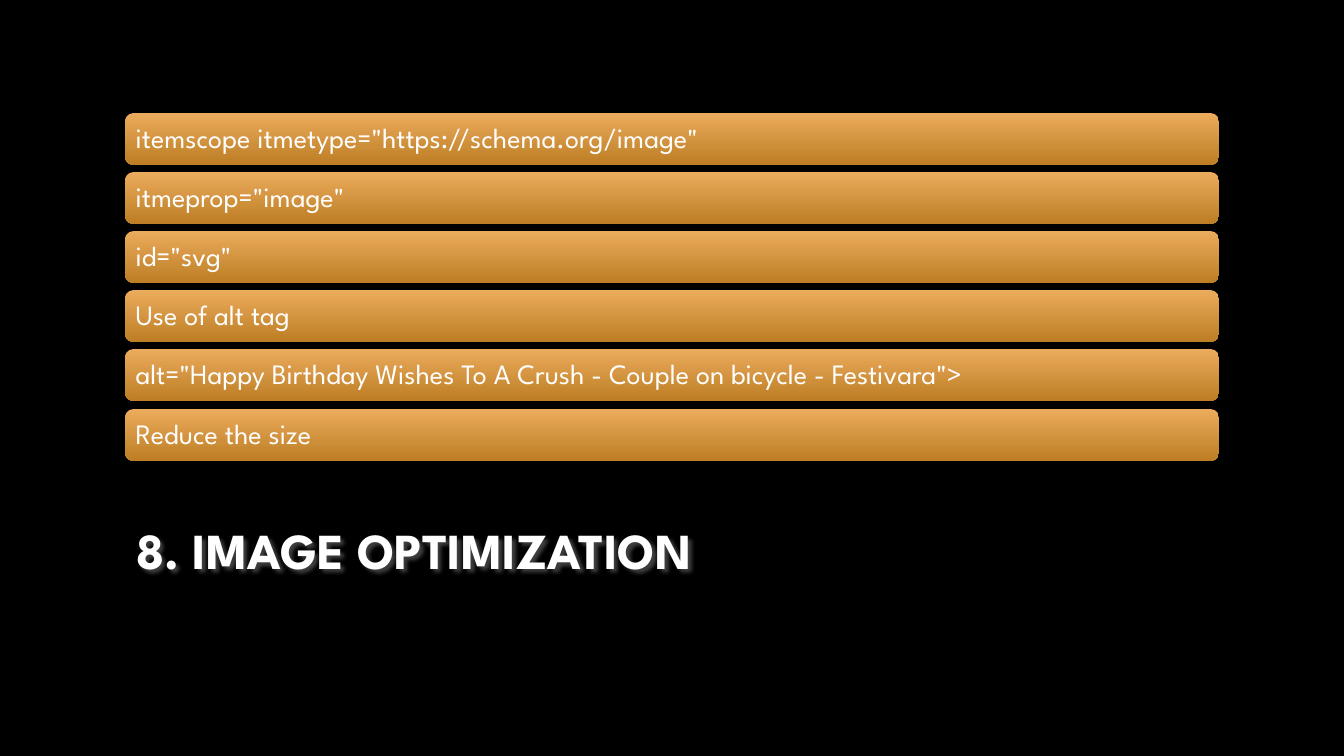
"""Build the image optimization slide: six gradient bars above a title."""
from pptx import Presentation
from pptx.dml.color import RGBColor
from pptx.enum.shapes import MSO_SHAPE
from pptx.enum.text import MSO_ANCHOR, MSO_AUTO_SIZE, PP_ALIGN
from pptx.oxml import parse_xml
from pptx.oxml.ns import nsdecls
from pptx.util import Emu, Pt

FONT = "League Spartan"
TIPS = [
    'itemscope itmetype="https://schema.org/image"',
    'itmeprop="image"',
    'id="svg"',
    "Use of alt tag",
    'alt="Happy Birthday Wishes To A Crush - Couple on bicycle - Festivara">',
    "Reduce the size",
]


def px(n):
    return Emu(round(n * 914400 / 100.8))


def rgb(value):
    return RGBColor.from_string(value)


prs = Presentation()
prs.slide_width, prs.slide_height = px(1344), px(756)
s = prs.slides.add_slide(prs.slide_layouts[5])
s.background.fill.solid()
s.background.fill.fore_color.rgb = rgb("000000")

title = s.shapes.title
title.left, title.top, title.width, title.height = px(126), px(514), px(1094), px(117)
title.fill.background()
shadow = parse_xml(
    f'<a:effectLst {nsdecls("a")}><a:outerShdw blurRad="25400" dist="25400" dir="2700000">'
    '<a:srgbClr val="808080"><a:alpha val="50000"/></a:srgbClr></a:outerShdw></a:effectLst>'
)
title._element.spPr.append(shadow)
tf = title.text_frame
tf.word_wrap = True
tf.auto_size = MSO_AUTO_SIZE.NONE
tf.vertical_anchor = MSO_ANCHOR.TOP
p = tf.paragraphs[0]
p.alignment = PP_ALIGN.LEFT
p.space_after = Pt(6)
r = p.add_run()
r.text = "8. IMAGE OPTIMIZATION"
r.font.name = FONT
r.font.size = Pt(36)
r.font.bold = True
r.font.fill.gradient()
r.font.fill.gradient_angle = 267
for stop, color in zip(r.font.fill.gradient_stops, ("FFFFFF", "A6A6A6")):
    stop.color.rgb = rgb(color)

for i, tip in enumerate(TIPS):
    bar = s.shapes.add_shape(
        MSO_SHAPE.ROUNDED_RECTANGLE, px(125), px(113 + i * 296 // 5), px(1094), px(52)
    )
    bar.shadow.inherit = False
    bar.line.fill.background()
    bar.fill.gradient()
    bar.fill.gradient_angle = 270
    for stop, color in zip(bar.fill.gradient_stops, ("EBAB5C", "BD7E25")):
        stop.color.rgb = rgb(color)
    tf = bar.text_frame
    tf.word_wrap = True
    tf.vertical_anchor = MSO_ANCHOR.MIDDLE
    tf.margin_left = tf.margin_right = px(8)
    tf.margin_top = tf.margin_bottom = px(8)
    p = tf.paragraphs[0]
    p.text = tip
    p.alignment = PP_ALIGN.LEFT
    p.line_spacing = 0.9
    p.font.name = FONT
    p.font.size = Pt(20)
    p.font.color.rgb = rgb("FFFFFF")

prs.save("out.pptx")
